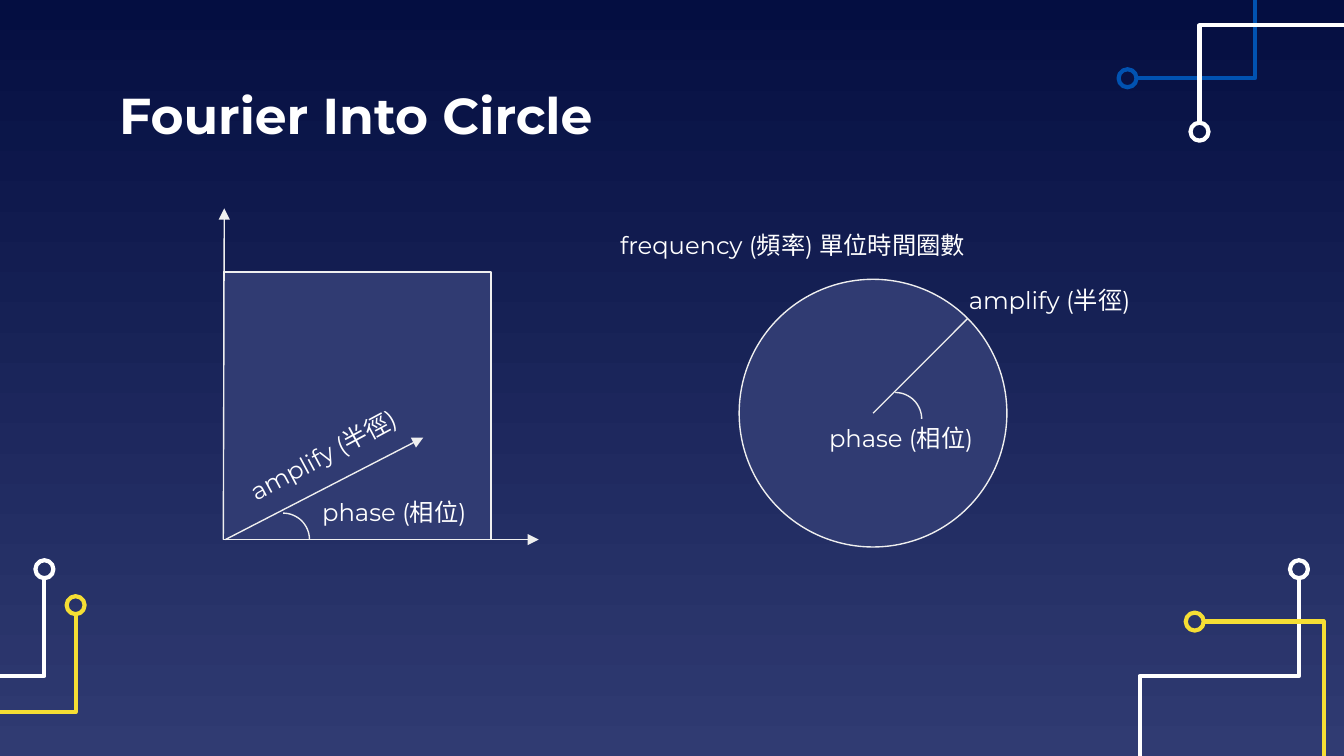
from math import cos, hypot, pi, sin

from lxml.etree import SubElement
from pptx import Presentation
from pptx.dml.color import RGBColor
from pptx.enum.shapes import MSO_CONNECTOR as Connector, MSO_SHAPE as Preset
from pptx.enum.text import MSO_ANCHOR as Anchor, MSO_AUTO_SIZE as AutoSize, PP_ALIGN as Align
from pptx.oxml.ns import qn
from pptx.util import Cm, Pt

WIDTH, HEIGHT = 25.4, 14.29
FONT = "Montserrat"
WHITE, PALE, BLUE, YELLOW = "FFFFFF", "EFEFEF", "0152B1", "F5DE34"
NIGHT, INDIGO = "040E41", "303B72"
LABEL_WIDTH, LABEL_HEIGHT = 3.63, 1.32
NODE_RADIUS = 0.17
ARC_RADIUS = 0.5


def color(value):
    return RGBColor.from_string(value)


def style_line(shape, value, width):
    shape.line.color.rgb = color(value)
    shape.line.width = Pt(width)


def add_preset(slide, kind, left, top, size, fill, line, width):
    shape = slide.shapes.add_shape(kind, Cm(left), Cm(top), Cm(size), Cm(size))
    shape.shadow.inherit = False
    if fill:
        shape.fill.solid()
        shape.fill.fore_color.rgb = color(fill)
    else:
        shape.fill.background()
    style_line(shape, line, width)


def add_outline(slide, points, line, width):
    start, *others = [(Cm(x), Cm(y)) for x, y in points]
    builder = slide.shapes.build_freeform(*start)
    builder.add_line_segments(others, close=False)
    shape = builder.convert_to_shape()
    shape.shadow.inherit = False
    shape.fill.background()
    style_line(shape, line, width)


def add_line(slide, start, end, arrow=False):
    line = slide.shapes.add_connector(Connector.STRAIGHT, *map(Cm, (*start, *end)))
    style_line(line, PALE, 0.75)
    if arrow:
        SubElement(line.line._get_or_add_ln(), qn("a:tailEnd"), type="triangle")
    SubElement(line._element.spPr, qn("a:effectLst"))


def add_angle_arc(slide, x, y):
    steps = 16
    angles = [pi / 2 * (1 - step / steps) for step in range(steps + 1)]
    points = [(x + ARC_RADIUS * cos(a), y - ARC_RADIUS * sin(a)) for a in angles]
    add_outline(slide, points, PALE, 0.75)


def write_text(shape, text, size, bold=False):
    frame = shape.text_frame
    frame.text = text
    frame.word_wrap = True
    frame.auto_size = AutoSize.NONE
    frame.vertical_anchor = Anchor.MIDDLE
    frame.margin_left = frame.margin_right = Cm(0.25)
    frame.margin_top = frame.margin_bottom = Cm(0.25)
    paragraph = frame.paragraphs[0]
    paragraph.alignment = Align.LEFT
    paragraph.font.name = FONT
    paragraph.font.size = Pt(size)
    paragraph.font.bold = bold
    paragraph.font.color.rgb = color(WHITE)


def add_label(slide, text, left, top, width=LABEL_WIDTH, rotation=0):
    box = slide.shapes.add_textbox(Cm(left), Cm(top), Cm(width), Cm(LABEL_HEIGHT))
    box.rotation = rotation
    write_text(box, text, 13)


def add_title(slide, left, top, width, height):
    title = slide.shapes.title
    title.left, title.top = Cm(left), Cm(top)
    title.width, title.height = Cm(width), Cm(height)
    write_text(title, "Fourier Into Circle", 27, bold=True)


def add_trace(slide, node, corners, value):
    x, y = node
    dx, dy = corners[0][0] - x, corners[0][1] - y
    ratio = NODE_RADIUS / hypot(dx, dy)
    start = (x + dx * ratio, y + dy * ratio)
    add_outline(slide, [start, *corners], value, 2.25)
    add_preset(slide, Preset.OVAL, x - NODE_RADIUS, y - NODE_RADIUS,
               2 * NODE_RADIUS, None, value, 2.25)


def add_circuit_decor(slide, width, height):
    traces = [
        ((24.55, 10.76), [(24.55, 12.78), (21.54, 12.78), (21.54, height)], WHITE),
        ((21.31, 1.48), [(23.72, 1.48), (23.72, 0)], BLUE),
        ((22.67, 2.49), [(22.67, 0.48), (width, 0.48)], WHITE),
        ((22.58, 11.75), [(25.02, 11.75), (25.02, height)], YELLOW),
        ((0.84, 10.76), [(0.84, 12.78), (0, 12.78)], WHITE),
        ((1.43, 11.44), [(1.43, 13.46), (0, 13.46)], YELLOW),
    ]
    for node, corners, value in traces:
        add_trace(slide, node, corners, value)


def add_circle_diagram(slide, left, top, size):
    radius = size / 2
    x, y = left + radius, top + radius
    reach = radius * cos(pi / 4)
    add_preset(slide, Preset.OVAL, left, top, size, INDIGO, PALE, 0.75)
    add_line(slide, (x, y), (x + reach, y - reach))
    add_angle_arc(slide, x + 0.42, y + 0.11)
    add_label(slide, "amplify (半徑)", left + 4.09, top - 0.28)
    add_label(slide, "phase (相位)", left + 1.45, top + 2.34)
    add_label(slide, "frequency (頻率) 單位時間圈數", left - 2.5, top - 1.32, 8.57)


def add_vector_diagram(slide, left, top, size):
    bottom = top + size
    origin = (left, bottom)
    add_preset(slide, Preset.RECTANGLE, left, top, size, INDIGO, PALE, 0.75)
    add_line(slide, origin, (left + 0.02, top - 1.2), arrow=True)
    add_line(slide, origin, (left + 5.96, bottom), arrow=True)
    add_line(slide, (left + 0.04, bottom), (left + 3.78, bottom - 1.93), arrow=True)
    add_angle_arc(slide, left + 1.13, bottom)
    add_label(slide, "phase (相位)", left + 1.62, bottom - 1.18)
    add_label(slide, "amplify (半徑)", left + 0.1, bottom - 2.28, rotation=-28.3)


def set_background(slide):
    fill = slide.background.fill
    fill.gradient()
    fill.gradient_angle = 270
    for stop, value in zip(fill.gradient_stops, (NIGHT, INDIGO)):
        stop.color.rgb = color(value)


def main():
    presentation = Presentation()
    presentation.slide_width, presentation.slide_height = Cm(WIDTH), Cm(HEIGHT)
    slide = presentation.slides.add_slide(presentation.slide_layouts[5])
    set_background(slide)
    add_circuit_decor(slide, WIDTH, HEIGHT)
    add_title(slide, 2, 1.5, 21.4, LABEL_HEIGHT)
    add_circle_diagram(slide, 13.97, 5.28, 5.06)
    add_vector_diagram(slide, 4.22, 5.14, 5.06)
    presentation.save("out.pptx")


if __name__ == "__main__":
    main()
